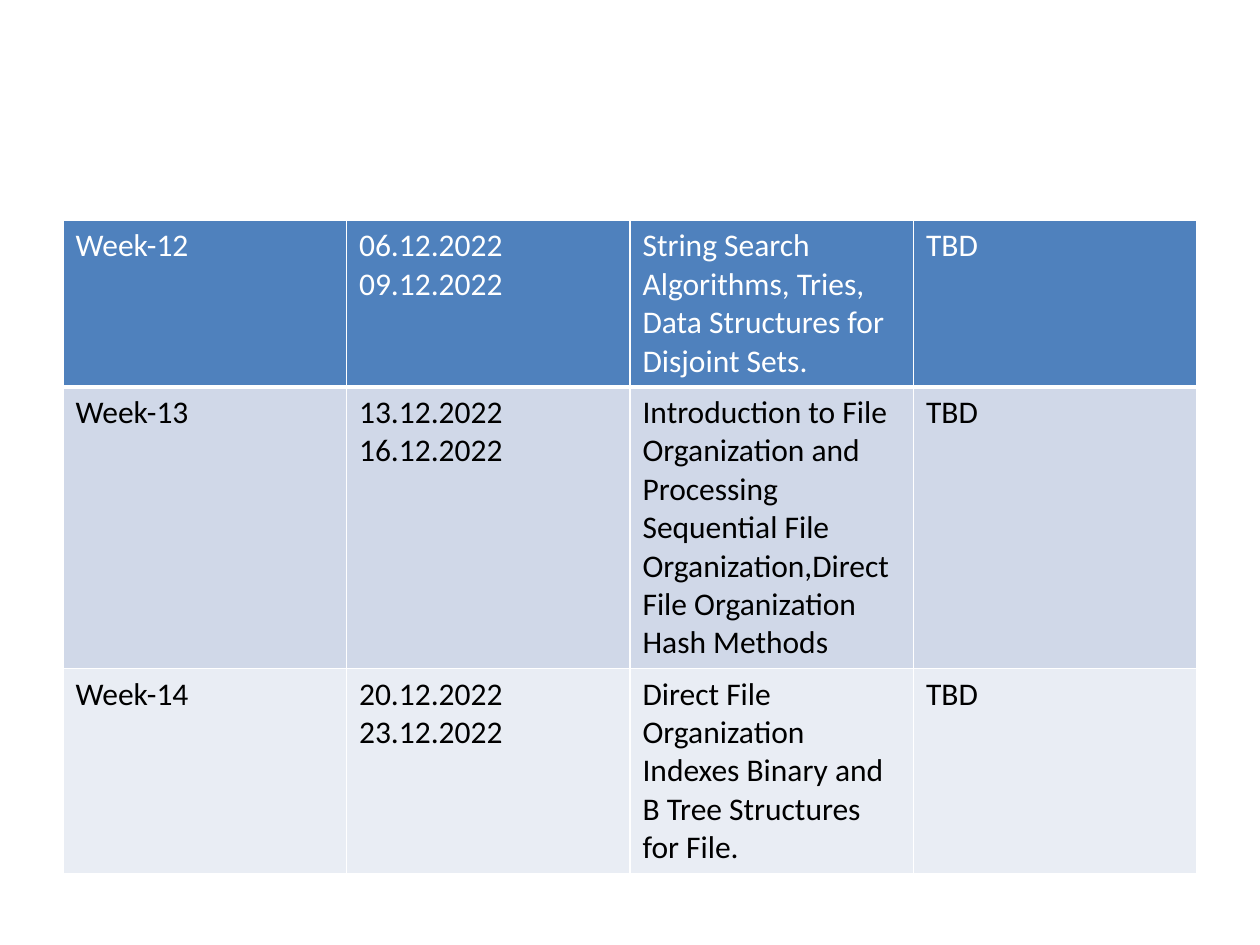
from lxml import etree
from pptx import Presentation
from pptx.dml.color import RGBColor
from pptx.oxml.ns import qn
from pptx.util import Inches, Pt

HEX = {
    "head": "4F81BD",
    "odd": "D0D8E8",
    "even": "E9EDF4",
    "light": "FFFFFF",
    "dark": "000000",
}
WIDE, HIGH = Inches(10), Inches(7.5)
LINE, PAD = 0.3, 0.1
WEEKS = [
    ("Week-12", "06.12.2022 09.12.2022",
     "String Search Algorithms, Tries, Data Structures for Disjoint Sets.", "TBD"),
    ("Week-13", "13.12.2022 16.12.2022",
     "Introduction to File Organization and Processing Sequential File "
     "Organization,Direct File Organization Hash Methods", "TBD"),
    ("Week-14", "20.12.2022 23.12.2022",
     "Direct File Organization Indexes Binary and B Tree Structures for File.", "TBD"),
]
LINES = (4, 7, 5)


def color(name):
    return RGBColor.from_string(HEX[name])


def border(cell, base):
    props = cell._tc.get_or_add_tcPr()
    sides = {"lnL": 1, "lnR": 1, "lnT": 1, "lnB": base}
    for spot, (side, size) in enumerate(sides.items()):
        edge = etree.Element(qn(f"a:{side}"), w=str(Pt(size)))
        fill = etree.SubElement(edge, qn("a:solidFill"))
        etree.SubElement(fill, qn("a:srgbClr"), val=HEX["light"])
        props.insert(spot, edge)


def style(cell, text, fill, ink, base):
    cell.text = text
    cell.fill.solid()
    cell.fill.fore_color.rgb = color(fill)
    font = cell.text_frame.paragraphs[0].font
    font.name, font.size, font.bold = "Calibri", Pt(18), False
    font.color.rgb = color(ink)
    border(cell, base)


def schedule(slide, left, top, width, height):
    frame = slide.shapes.add_table(len(WEEKS), len(WEEKS[0]), left, top, width, height)
    table = frame.table
    looks = [("head", "light", 3), ("odd", "dark", 1), ("even", "dark", 1)]
    for row, week, count, look in zip(table.rows, WEEKS, LINES, looks):
        row.height = Inches(count * LINE + PAD)
        for cell, text in zip(row.cells, week):
            style(cell, text, *look)


def main():
    deck = Presentation()
    deck.slide_width, deck.slide_height = WIDE, HIGH
    slide = deck.slides.add_slide(deck.slide_layouts[6])
    tall = Inches(sum(LINES) * LINE + len(LINES) * PAD)
    schedule(slide, int(WIDE * 0.05), Inches(1.75), int(WIDE * 0.9), tall)
    deck.save("out.pptx")


if __name__ == "__main__":
    main()
